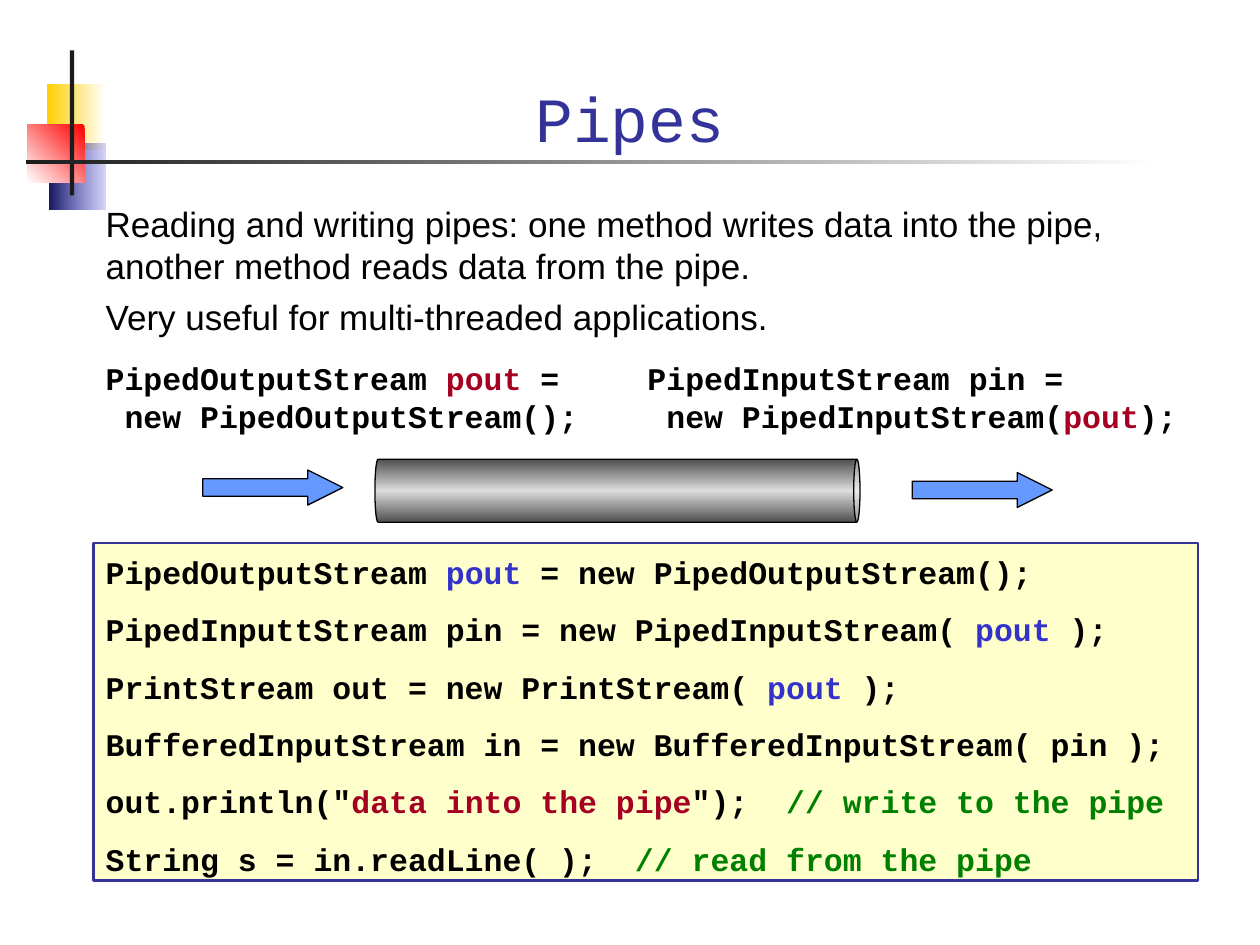
"""Build the slide on reading and writing pipes."""
from dataclasses import dataclass
from typing import Optional

from pptx import Presentation
from pptx.dml.color import RGBColor
from pptx.enum.shapes import MSO_SHAPE
from pptx.enum.text import MSO_ANCHOR, PP_ALIGN
from pptx.oxml import parse_xml
from pptx.oxml.ns import nsdecls, qn
from pptx.util import Pt


@dataclass(frozen=True)
class Theme:
    black: str = "000000"
    white: str = "FFFFFF"
    ink: str = "1C1C1C"
    title: str = "333399"
    panel: str = "FFFFCC"
    arrow: str = "6699FF"
    yellow: str = "FFCF01"
    red: str = "FF0000"
    navy: str = "17175E"
    blue: str = "3333CC"
    crimson: str = "A50021"
    green: str = "008000"
    steel_dark: str = "4F4F4F"
    steel_light: str = "DDDDDD"
    sans: str = "Arial"
    mono: str = "Courier New"
    title_size: float = 36
    body_size: float = 20
    code_size: float = 18
    leading: float = 1.2


THEME = Theme()


@dataclass(frozen=True)
class Box:
    left: float
    top: float
    width: float
    height: float

    def lengths(self) -> tuple:
        return Pt(self.left), Pt(self.top), Pt(self.width), Pt(self.height)


@dataclass(frozen=True)
class Stop:
    position: int
    color: str
    opacity: int = 100


@dataclass(frozen=True)
class Gradient:
    angle: int
    stops: tuple


@dataclass(frozen=True)
class Span:
    text: str
    color: str = THEME.black


@dataclass(frozen=True)
class TextStyle:
    font: str
    size: float
    space_before: float = 0
    bold: bool = False
    alignment: PP_ALIGN = PP_ALIGN.LEFT
    anchor: MSO_ANCHOR = MSO_ANCHOR.TOP
    inset_top: float = 5.6
    inset_bottom: float = 1.6


TITLE = TextStyle(THEME.mono, THEME.title_size, alignment=PP_ALIGN.CENTER,
                  anchor=MSO_ANCHOR.BOTTOM, inset_bottom=0)
BODY = TextStyle(THEME.sans, THEME.body_size, space_before=5)
CODE = TextStyle(THEME.mono, THEME.code_size, space_before=11.2, bold=True)


def fade(angle: int, start: str, end: str, opacity: int = 100) -> Gradient:
    return Gradient(angle, (Stop(0, start, opacity), Stop(100, end)))


def apply_gradient(shape, gradient: Gradient) -> None:
    stops = "".join(
        f'<a:gs pos="{stop.position * 1000}"><a:srgbClr val="{stop.color}">'
        f'<a:alpha val="{stop.opacity * 1000}"/></a:srgbClr></a:gs>'
        for stop in gradient.stops)
    fill = parse_xml(
        f'<a:gradFill {nsdecls("a")} rotWithShape="1"><a:gsLst>{stops}</a:gsLst>'
        f'<a:lin ang="{gradient.angle * 60000}" scaled="0"/></a:gradFill>')
    shape.element.spPr.find(qn("a:prstGeom")).addnext(fill)


def add_figure(slide, kind: MSO_SHAPE, box: Box, fill, line: Optional[str] = None,
               line_width: float = 0.75, adjustments: tuple = (), rotation: float = 0):
    shape = slide.shapes.add_shape(kind, *box.lengths())
    shape.shadow.inherit = False
    shape.rotation = rotation
    for index, value in enumerate(adjustments):
        shape.adjustments[index] = value
    if isinstance(fill, Gradient):
        apply_gradient(shape, fill)
    else:
        shape.fill.solid()
        shape.fill.fore_color.rgb = RGBColor.from_string(fill)
    if line:
        shape.line.color.rgb = RGBColor.from_string(line)
        shape.line.width = Pt(line_width)
    else:
        shape.line.fill.background()
    return shape


def write_text(shape, style: TextStyle, paragraphs: list) -> None:
    frame = shape.text_frame
    frame.word_wrap = True
    frame.vertical_anchor = style.anchor
    frame.margin_top, frame.margin_bottom = Pt(style.inset_top), Pt(style.inset_bottom)
    for number, spans in enumerate(paragraphs):
        paragraph = frame.add_paragraph() if number else frame.paragraphs[0]
        paragraph.alignment = style.alignment
        paragraph.line_spacing = Pt(style.size * THEME.leading)
        paragraph.space_before = Pt(style.space_before if number else 0)
        for span in spans:
            for row, text in enumerate(span.text.split("\n")):
                if row:
                    paragraph.add_line_break()
                run = paragraph.add_run()
                run.text = text
                run.font.name = style.font
                run.font.size = Pt(style.size)
                run.font.bold = style.bold
                run.font.color.rgb = RGBColor.from_string(span.color)


def add_text(slide, box: Box, style: TextStyle, paragraphs: list) -> None:
    write_text(slide.shapes.add_textbox(*box.lengths()), style, paragraphs)


def add_ornament(slide) -> None:
    for box, fill in (
        (Box(26.8, 48.2, 33.8, 37.4), fade(180, THEME.white, THEME.yellow)),
        (Box(28.1, 82.1, 32.4, 37.4), fade(180, THEME.blue, THEME.navy, 20)),
        (Box(15.8, 71.3, 32.4, 33.1), fade(135, THEME.red, THEME.white)),
        (Box(40, 28.8, 2.4, 82.8), THEME.ink),
        (Box(15, 91.3, 648, 2.4), fade(180, THEME.white, THEME.ink)),
    ):
        add_figure(slide, MSO_SHAPE.RECTANGLE, box, fill)


def add_pipe(slide) -> None:
    steel = Gradient(0, (Stop(0, THEME.steel_dark), Stop(50, THEME.steel_light),
                         Stop(100, THEME.steel_dark)))
    add_figure(slide, MSO_SHAPE.CAN, Box(334.8, 141.8, 36, 277.2), steel,
               THEME.black, adjustments=(0.1,), rotation=90)
    for left, top in ((115.9, 268.6), (521.3, 270)):
        add_figure(slide, MSO_SHAPE.RIGHT_ARROW, Box(left, top, 80, 20), THEME.arrow,
                   THEME.black, adjustments=(0.5, 1))


def main() -> None:
    presentation = Presentation()
    presentation.slide_width, presentation.slide_height = Pt(720), Pt(540)
    slide = presentation.slides.add_slide(presentation.slide_layouts[6])
    add_ornament(slide)
    add_text(slide, Box(48.2, 20.2, 623.5, 68.4), TITLE, [[Span("Pipes", THEME.title)]])
    panel = add_figure(slide, MSO_SHAPE.RECTANGLE, Box(53.3, 310.3, 631.4, 193),
                       THEME.panel, THEME.title, 1.5)
    pout = Span("pout", THEME.blue)
    write_text(panel, CODE, [
        [Span("PipedOutputStream "), pout, Span(" = new PipedOutputStream();")],
        [Span("PipedInputtStream pin = new PipedInputStream( "), pout, Span(" );")],
        [Span("PrintStream out = new PrintStream( "), pout, Span(" );")],
        [Span("BufferedInputStream in = new BufferedInputStream( pin );")],
        [Span('out.println("'), Span("data into the pipe", THEME.crimson),
         Span('");  '), Span("// write to the pipe", THEME.green)],
        [Span("String s = in.readLine( );  "), Span("// read from the pipe", THEME.green)],
    ])
    add_text(slide, Box(53.3, 110.2, 605.5, 84.2), BODY, [
        [Span("Reading and writing pipes: one method writes data into the pipe, "
              "another method reads data from the pipe.")],
        [Span("Very useful for multi-threaded applications.")],
    ])
    add_pipe(slide)
    linked = Span("pout", THEME.crimson)
    add_text(slide, Box(53.3, 199.4, 290.2, 50.4), CODE, [
        [Span("PipedOutputStream "), linked, Span(" =\n new PipedOutputStream();")]])
    add_text(slide, Box(362.9, 199.4, 332.6, 50.4), CODE, [
        [Span("PipedInputStream pin = \n new PipedInputStream("), linked, Span(");")]])
    presentation.save("out.pptx")


if __name__ == "__main__":
    main()
